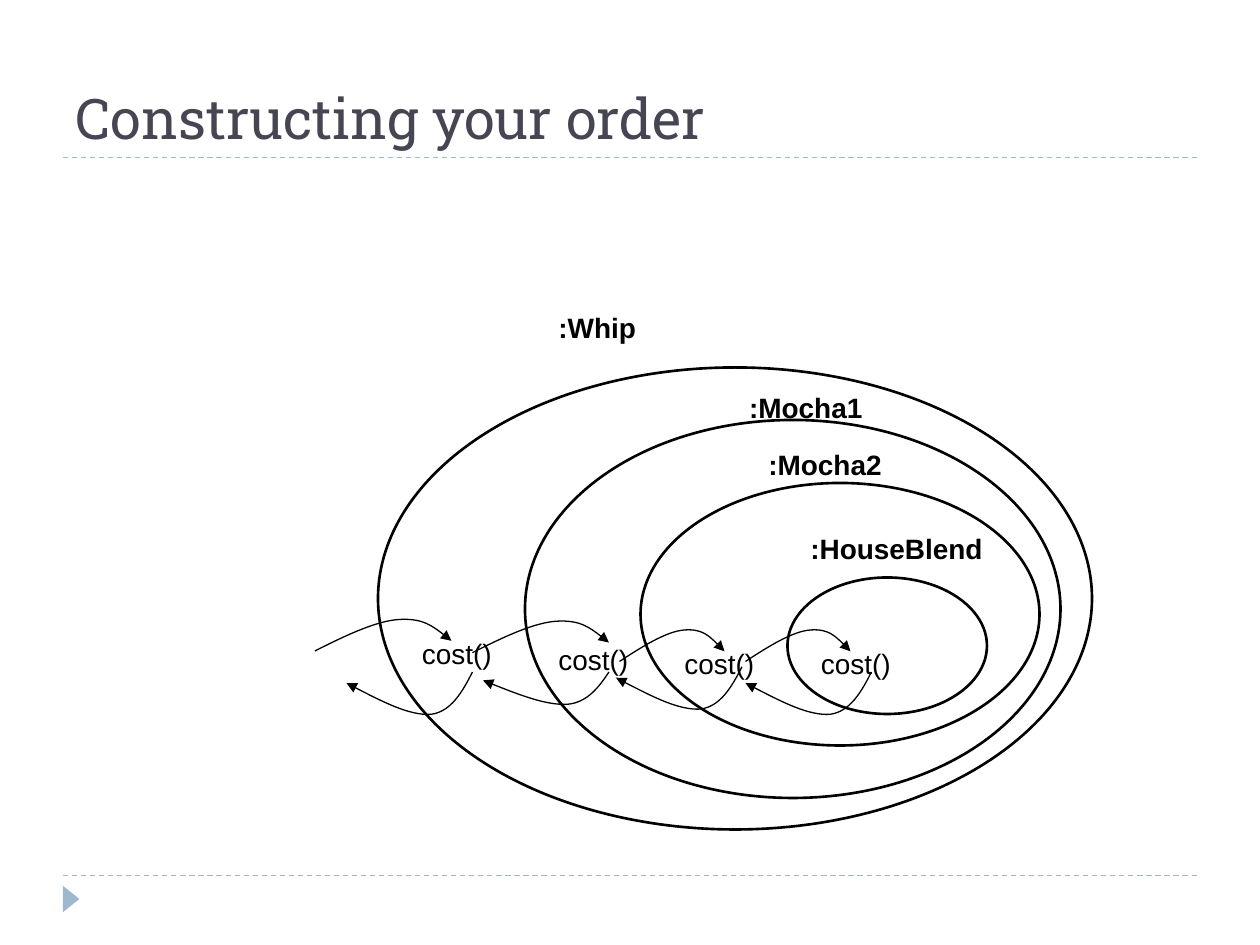
from lxml.etree import SubElement
from pptx import Presentation
from pptx.dml.color import RGBColor
from pptx.enum.dml import MSO_LINE
from pptx.enum.shapes import MSO_CONNECTOR, MSO_SHAPE
from pptx.enum.text import MSO_ANCHOR, MSO_AUTO_SIZE, PP_ALIGN
from pptx.oxml.ns import qn
from pptx.util import Pt

BLACK = RGBColor(0x00, 0x00, 0x00)
SLATE = RGBColor(0x46, 0x46, 0x53)
BLUE = RGBColor(0x9F, 0xB8, 0xCD)

# Curve points as fractions of an arrow's width and height
CALL = [(0.22, -0.48), (0.45, -0.96), (0.62, -1),
        (0.79, -1.04), (0.9, -0.68), (1, -0.32)]
RETURN = [(-0.08, 0.47), (-0.17, 0.94), (-0.33, 1),
          (-0.5, 1.03), (-0.75, 0.65), (-1, 0.26)]


def add_label(shapes, text, x, y, w, bold=False):
    tb = shapes.add_textbox(Pt(x), Pt(y), Pt(w), Pt(26.6))
    tf = tb.text_frame
    tf.word_wrap = False
    tf.auto_size = MSO_AUTO_SIZE.SHAPE_TO_FIT_TEXT
    p = tf.paragraphs[0]
    p.text = text
    p.font.name, p.font.size, p.font.bold = "Arial", Pt(16), bold
    p.font.color.rgb = BLACK


def add_curved_arrow(shapes, x, y, w, h, curve):
    """Draw two joined Bezier segments that start at (x, y) and end in an arrowhead."""
    points = [(x + w * fx, y + h * fy) for fx, fy in curve]
    builder = shapes.build_freeform(Pt(x), Pt(y))
    builder.add_line_segments([(Pt(px), Pt(py)) for px, py in points], close=False)
    sp = builder.convert_to_shape()
    sp.shadow.inherit = False
    sp.fill.background()
    sp.line.color.rgb = BLACK
    sp.line.width = Pt(0.75)
    SubElement(sp.line._get_or_add_ln(), qn("a:tailEnd"), type="triangle")
    # Each three straight segments become one cubic Bezier segment
    outline = next(sp._element.iter(qn("a:path")))
    segments = outline.findall(qn("a:lnTo"))
    for i in range(0, len(segments), 3):
        bezier = SubElement(outline, qn("a:cubicBezTo"))
        for segment in segments[i:i + 3]:
            bezier.append(segment[0])
            outline.remove(segment)


prs = Presentation()
prs.slide_width, prs.slide_height = Pt(720), Pt(540)
s = prs.slides.add_slide(prs.slide_layouts[5])

# Footer and title rules, with the corner marker
for y in (500.4, 90):
    rule = s.shapes.add_connector(MSO_CONNECTOR.STRAIGHT, Pt(36), Pt(y), Pt(684), Pt(y))
    rule.line.color.rgb = BLUE
    rule.line.width = Pt(0.75)
    rule.line.dash_style = MSO_LINE.DASH
    SubElement(rule._element.spPr, qn("a:effectLst"))
marker = s.shapes.add_shape(MSO_SHAPE.ISOSCELES_TRIANGLE, Pt(33.1), Pt(509), Pt(15.1), Pt(9.4))
marker.rotation = 90
marker.shadow.inherit = False
marker.fill.solid()
marker.fill.fore_color.rgb = BLUE
marker.line.fill.background()

title = s.shapes.title
title.left, title.top, title.width, title.height = Pt(36), Pt(18), Pt(648), Pt(72)
tf = title.text_frame
tf.text = "Constructing your order"
tf.vertical_anchor = MSO_ANCHOR.BOTTOM
tf.auto_size = MSO_AUTO_SIZE.NONE
p = tf.paragraphs[0]
p.alignment = PP_ALIGN.LEFT
p.font.name, p.font.size = "Roboto Slab", Pt(32)
p.font.color.rgb = SLATE

# Nested objects: name, ellipse box, name box (x, y, w), cost() position
objects = [
    (":HouseBlend", (450, 330, 114, 78), (456, 300, 113), (462, 366)),
    (":Mocha2", (366, 276, 228, 150), (432, 252, 79), (384, 366)),
    (":Mocha1", (300, 240, 306, 216), (421, 219.6, 79), (312, 363.6)),
    (":Whip", (216, 210, 408, 264), (312, 174, 59), (234, 360)),
]
for name, box, name_box, cost_at in objects:
    group = s.shapes.add_group_shape()
    ellipse = group.shapes.add_shape(MSO_SHAPE.OVAL, *[Pt(v) for v in box])
    ellipse.shadow.inherit = False
    ellipse.fill.background()
    ellipse.line.color.rgb = BLACK
    ellipse.line.width = Pt(1.5)
    add_label(group.shapes, "cost()", *cost_at, 54.7)
    add_label(group.shapes, name, *name_box, bold=True)

for x, y, w in [(180, 372, 78), (270, 373, 78), (354, 378, 60), (426, 378, 60)]:
    add_curved_arrow(s.shapes, x, y, w, 18, CALL)
for x, y, h in [(498, 384, 24.2), (424, 381, 24.2), (348, 384, 18.5), (270, 384, 24.2)]:
    add_curved_arrow(s.shapes, x, y, 72, h, RETURN)

prs.save("out.pptx")
